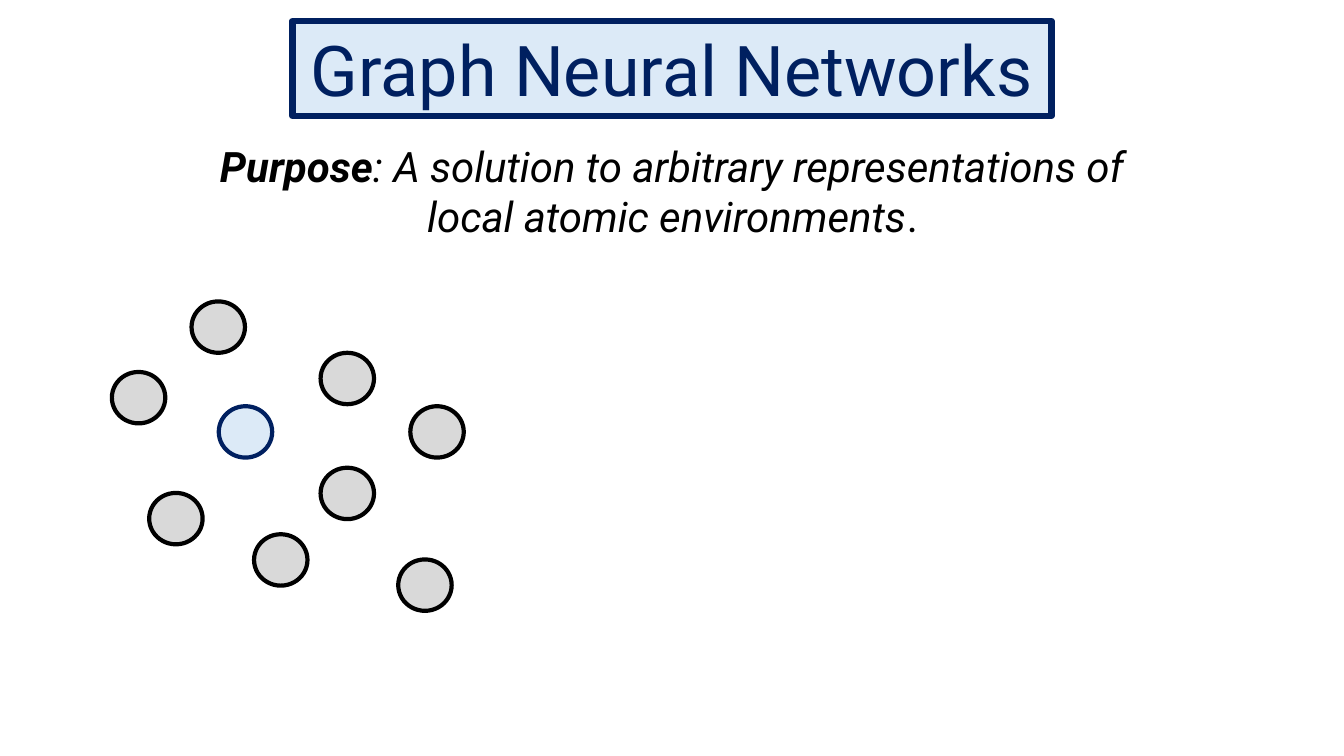
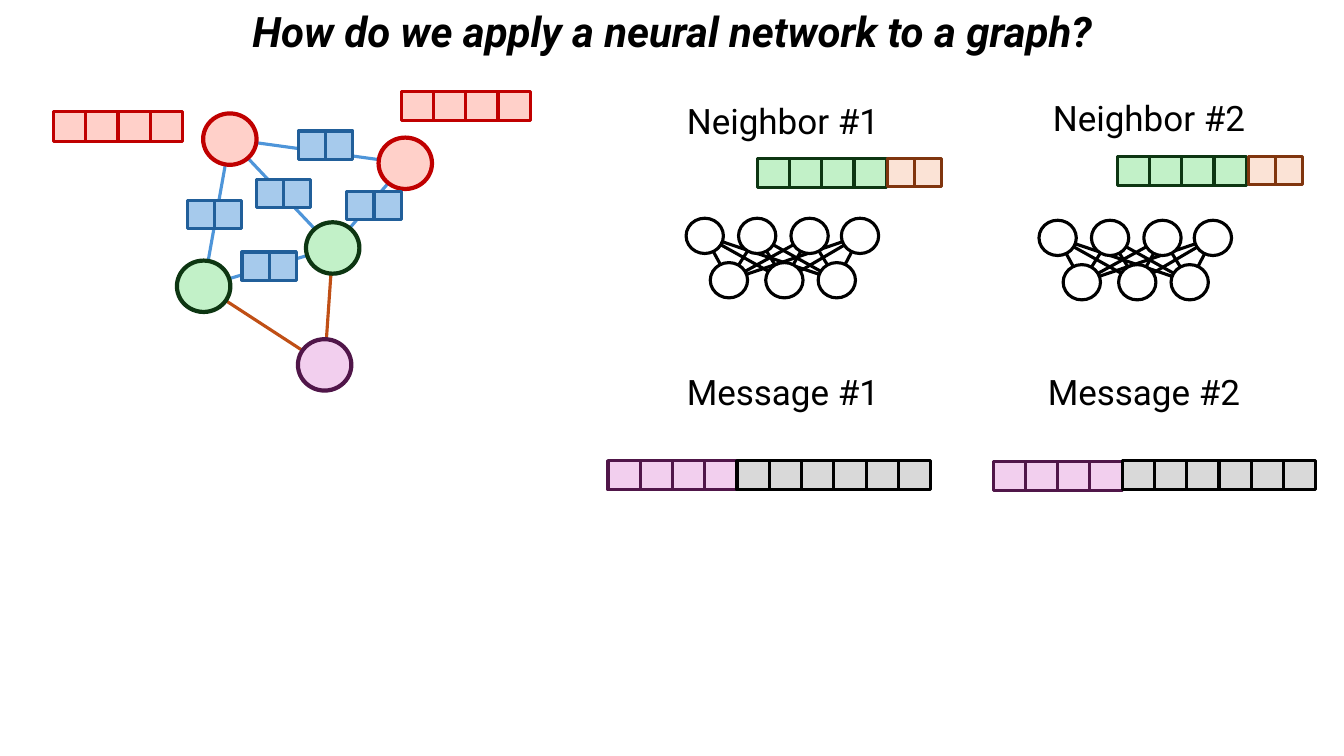
from itertools import product

from lxml import etree
from pptx import Presentation
from pptx.dml.color import RGBColor
from pptx.enum.shapes import MSO_CONNECTOR as CONNECTOR, MSO_SHAPE as SHAPE
from pptx.enum.text import MSO_AUTO_SIZE as AUTO_SIZE, PP_ALIGN as ALIGN
from pptx.oxml.ns import qn
from pptx.util import Inches, Pt

FONT = "Roboto"
BLACK, NAVY = "000000", "002060"
BOND, NEW_BOND = "4E95D9", "C04F15"

# (fill, line) pairs
PALE_BLUE = ("DCEAF7", NAVY)
GREY = ("D9D9D9", BLACK)
WHITE = ("FFFFFF", BLACK)
RED = ("FFD0C9", "C00000")
GREEN = ("C2F1C8", "0D3612")
PURPLE = ("F2CFEE", "501649")
BLUE = ("A6CAEC", "215F9A")
ORANGE = ("FBE3D6", "80350E")

ATOM_W, ATOM_H = 0.53, 0.51
NEURON_W, NEURON_H = 0.37, 0.35
WIDE_CELL, SMALL_CELL = (0.32, 0.29), (0.27, 0.28)


def add_shape(s, kind, x, y, w, h, colours, weight):
    sp = s.shapes.add_shape(kind, Inches(x), Inches(y), Inches(w), Inches(h))
    fill, line = colours
    sp.shadow.inherit = False
    sp.fill.solid()
    sp.fill.fore_color.rgb = RGBColor.from_string(fill)
    sp.line.color.rgb = RGBColor.from_string(line)
    sp.line.width = Pt(weight)
    return sp


def write(sp, size, colour, *runs):
    """Fill a shape with one centred paragraph of (text, bold, italic) runs."""
    tf = sp.text_frame
    tf.word_wrap = True
    tf.auto_size = AUTO_SIZE.SHAPE_TO_FIT_TEXT
    p = tf.paragraphs[0]
    p.alignment = ALIGN.CENTER
    for text, bold, italic in runs:
        r = p.add_run()
        r.text = text
        r.font.name, r.font.size = FONT, Pt(size)
        r.font.bold, r.font.italic = bold, italic
        r.font.color.rgb = RGBColor.from_string(colour)


prs = Presentation()
prs.slide_width, prs.slide_height = Inches(13.33), Inches(7.5)
blank = prs.slide_layouts[6]

# Slide 1: purpose of graph neural networks
s = prs.slides.add_slide(blank)
title = add_shape(s, SHAPE.RECTANGLE, 2.9, 0.21, 7.53, 0.94, PALE_BLUE, 4.5)
write(title, 50, NAVY, ("Graph Neural Networks", False, False))

purpose = s.shapes.add_textbox(Inches(1.98), Inches(1.34), Inches(9.38), Inches(1.11))
write(purpose, 30, BLACK,
      ("Purpose", True, True),
      (": A solution to arbitrary representations of local atomic environments", False, True),
      (".", False, False))

neighbours = [(1.9, 2.99), (3.18, 3.5), (3.18, 4.64), (1.48, 4.89),
              (2.52, 5.3), (4.07, 4.03), (3.95, 5.55), (1.11, 3.69)]
for x, y in neighbours:
    add_shape(s, SHAPE.OVAL, x, y, ATOM_W, ATOM_H, GREY, 3)
add_shape(s, SHAPE.OVAL, 2.17, 4.03, ATOM_W, ATOM_H, PALE_BLUE, 3)

# Slide 2: applying a network to a graph
s = prs.slides.add_slide(blank)
heading = s.shapes.add_textbox(Inches(1.76), Inches(0.01), Inches(9.82), Inches(0.61))
write(heading, 30, BLACK, ("How do we apply a neural network to a graph?", True, True))

labels = [("Neighbor #1", 6.3, 0.94), ("Neighbor #2", 9.93, 0.91),
          ("Message #1", 6.3, 3.63), ("Message #2", 9.88, 3.63)]
for text, x, y in labels:
    label = s.shapes.add_textbox(Inches(x), Inches(y), Inches(2.93), Inches(0.52))
    write(label, 25, BLACK, (text, False, False))

# Centres of the graph's atoms and of the networks' neurons
atoms = {
    "red left": (2.28, 1.38, RED),
    "red right": (4.02, 1.62, RED),
    "green left": (2.02, 2.84, GREEN),
    "purple": (3.22, 3.62, PURPLE),
    "green right": (3.3, 2.46, GREEN),
}
bonds = [
    ("red left", "red right", BOND),
    ("red left", "green right", BOND),
    ("red left", "green left", BOND),
    ("green left", "purple", NEW_BOND),
    ("green right", "purple", NEW_BOND),
    ("green left", "green right", BOND),
    ("green right", "red right", BOND),
]
lines = [(atoms[a][:2], atoms[b][:2], colour) for a, b, colour in bonds]

neurons = []
for dx, dy in [(0, 0), (3.5, 0.02)]:
    inputs = [(x + dx, 2.34 + dy) for x in (6.99, 7.51, 8.03, 8.53)]
    outputs = [(x + dx, 2.78 + dy) for x in (7.23, 7.78, 8.3)]
    neurons += inputs + outputs
    lines += [(a, b, BLACK) for a, b in product(inputs, outputs)]

for (x1, y1), (x2, y2), colour in lines:
    c = s.shapes.add_connector(CONNECTOR.STRAIGHT, Inches(x1), Inches(y1),
                               Inches(x2), Inches(y2))
    c.line.color.rgb = RGBColor.from_string(colour)
    c.line.width = Pt(2.25)
    etree.SubElement(c._element.spPr, qn("a:effectLst"))

for x, y, colours in atoms.values():
    add_shape(s, SHAPE.OVAL, x - ATOM_W / 2, y - ATOM_H / 2, ATOM_W, ATOM_H, colours, 3)
for x, y in neurons:
    add_shape(s, SHAPE.OVAL, x - NEURON_W / 2, y - NEURON_H / 2,
              NEURON_W, NEURON_H, WHITE, 2.25)

# Feature vectors: left, top, number of cells, cell size, colours
vectors = [
    (2.96, 1.3, 2, SMALL_CELL, BLUE),
    (1.86, 1.99, 2, SMALL_CELL, BLUE),
    (2.54, 1.78, 2, SMALL_CELL, BLUE),
    (3.44, 1.9, 2, SMALL_CELL, BLUE),
    (2.4, 2.5, 2, SMALL_CELL, BLUE),
    (0.53, 1.11, 4, WIDE_CELL, RED),
    (3.98, 0.91, 4, WIDE_CELL, RED),
    (7.51, 1.57, 4, WIDE_CELL, GREEN),
    (8.8, 1.57, 2, SMALL_CELL, ORANGE),
    (11.08, 1.55, 4, WIDE_CELL, GREEN),
    (12.38, 1.55, 2, SMALL_CELL, ORANGE),
    (6.03, 4.57, 4, WIDE_CELL, PURPLE),
    (7.31, 4.57, 6, WIDE_CELL, GREY),
    (9.85, 4.58, 4, WIDE_CELL, PURPLE),
    (11.13, 4.57, 6, WIDE_CELL, GREY),
]
for x, y, count, (w, h), colours in vectors:
    for i in range(count):
        add_shape(s, SHAPE.RECTANGLE, x + i * w, y, w, h, colours, 2.25)

prs.save("out.pptx")
